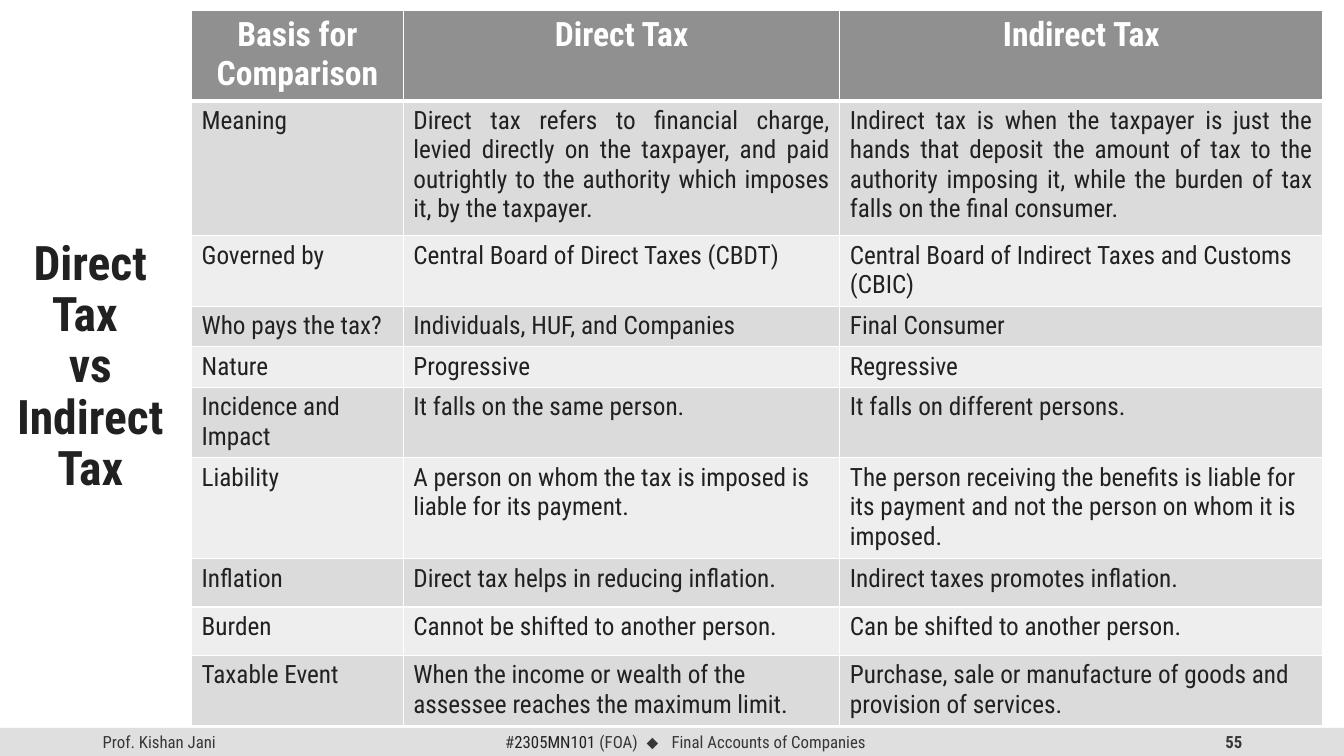
import pptx
import pptx.util
import pptx.dml.color
import pptx.enum.shapes
import pptx.enum.text
import pptx.oxml

Inches = pptx.util.Inches
ALIGN = pptx.enum.text.PP_ALIGN
MIDDLE = pptx.enum.text.MSO_ANCHOR.MIDDLE
FONT = "Roboto Condensed"
COLORS = {"white": "FFFFFF", "ink": "212121", "footer": "373737", "bar": "DFDFDF",
          "head": "909090", "dark": "DBDBDB", "light": "EEEEEE"}
NS = 'xmlns:a="http://schemas.openxmlformats.org/drawingml/2006/main"'


def rgb(name):
    return pptx.dml.color.RGBColor.from_string(COLORS[name])


def add_text(p, text, size=12, color="footer", bold=False, font=FONT, align=None):
    r = p.add_run()
    r.text = text
    r.font.size = pptx.util.Pt(size)
    r.font.name = font
    r.font.bold = bold
    r.font.color.rgb = rgb(color)
    if align is not None:
        p.alignment = align
    return r


prs = pptx.Presentation()
prs.slide_width, prs.slide_height = Inches(13.33), Inches(7.5)
s = prs.slides.add_slide(prs.slide_layouts[5])

# Footer bar
bar = s.shapes.add_shape(pptx.enum.shapes.MSO_SHAPE.RECTANGLE,
                         0, Inches(7.22), Inches(13.33), Inches(0.28))
bar.shadow.inherit = False
bar.fill.solid()
bar.fill.fore_color.rgb = rgb("bar")
bar.line.fill.background()

# Footer texts: author, course, slide number
footer = [
    (0.92, 3, ALIGN.LEFT, [("Prof. Kishan Jani", {})]),
    (4.18, 5.24, ALIGN.CENTER, [("#", {}), ("2305MN101 ", {"color": "ink"}), ("(FOA)", {}),
                                (" ⬥ ", {"font": "Arial"}),
                                ("Final Accounts of Companies", {})]),
    (9.42, 3, ALIGN.RIGHT, [("55", {"bold": True})]),
]
for left, width, align, runs in footer:
    sp = s.shapes.add_textbox(Inches(left), Inches(7.22), Inches(width), Inches(0.28))
    tf = sp.text_frame
    tf.word_wrap = True
    tf.vertical_anchor = MIDDLE
    for text, fmt in runs:
        r = add_text(tf.paragraphs[0], text, align=align, **fmt)
        if "⬥" in text:
            r.font._element.set("spc", "300")  # widen the gaps around the diamond

# Title
title = s.shapes.title
title.left, title.top, title.width, title.height = 0, 0, Inches(1.79), Inches(7.29)
tf = title.text_frame
tf.word_wrap = True
tf.auto_size = pptx.enum.text.MSO_AUTO_SIZE.NONE
tf.vertical_anchor = MIDDLE
p = tf.paragraphs[0]
p.line_spacing = 0.9
add_text(p, "Direct Tax ", size=34, color="ink", bold=True, align=ALIGN.CENTER)
p.add_line_break()
add_text(p, "vs Indirect Tax", size=34, color="ink", bold=True)

# Comparison table
rows = [
    ("Basis for Comparison", "Direct Tax", "Indirect Tax"),
    ("Meaning",
     "Direct tax refers to financial charge, levied directly on the taxpayer, and paid "
     "outrightly to the authority which imposes it, by the taxpayer.",
     "Indirect tax is when the taxpayer is just the hands that deposit the amount of tax to "
     "the authority imposing it, while the burden of tax falls on the final consumer."),
    ("Governed by", "Central Board of Direct Taxes (CBDT)",
     "Central Board of Indirect Taxes and Customs (CBIC)"),
    ("Who pays the tax?", "Individuals, HUF, and Companies", "Final Consumer"),
    ("Nature", "Progressive", "Regressive"),
    ("Incidence and Impact", "It falls on the same person.", "It falls on different persons."),
    ("Liability", "A person on whom the tax is imposed is liable for its payment.",
     "The person receiving the benefits is liable for its payment and not the person on whom "
     "it is imposed."),
    ("Inflation", "Direct tax helps in reducing inflation.", "Indirect taxes promotes inflation."),
    ("Burden", "Cannot be shifted to another person.", "Can be shifted to another person."),
    ("Taxable Event", "When the income or wealth of the assessee reaches the maximum limit.",
     "Purchase, sale or manufacture of goods and provision of services."),
]
col_widths = [2.1, 4.33, 4.79]
row_heights = [0.87, 1.34, 0.68, 0.4, 0.4, 0.68, 0.97, 0.48, 0.48, 0.68]
table = s.shapes.add_table(len(rows), len(col_widths), Inches(1.9), Inches(0.1),
                           Inches(sum(col_widths)), Inches(sum(row_heights))).table
for col, width in zip(table.columns, col_widths):
    col.width = Inches(width)
for i, (texts, height) in enumerate(zip(rows, row_heights)):
    table.rows[i].height = Inches(height)
    for j, text in enumerate(texts):
        cell = table.cell(i, j)
        tcPr = cell._tc.get_or_add_tcPr()
        for side in "LRTB":
            # The rule under the header is thicker
            width = 3 if (i, side) in ((0, "B"), (1, "T")) else 1
            tcPr.append(pptx.oxml.parse_xml(
                f'<a:ln{side} {NS} w="{width * 12700}"><a:solidFill>'
                f'<a:srgbClr val="{COLORS["white"]}"/></a:solidFill></a:ln{side}>'))
        cell.fill.solid()
        cell.fill.fore_color.rgb = rgb("head" if i == 0 else "dark" if i % 2 else "light")
        p = cell.text_frame.paragraphs[0]
        if i == 0:
            add_text(p, text, size=24, color="white", bold=True, align=ALIGN.CENTER)
        else:
            add_text(p, text, size=18, color="ink",
                     align=ALIGN.JUSTIFY if i == 1 else ALIGN.LEFT)

prs.save("out.pptx")
